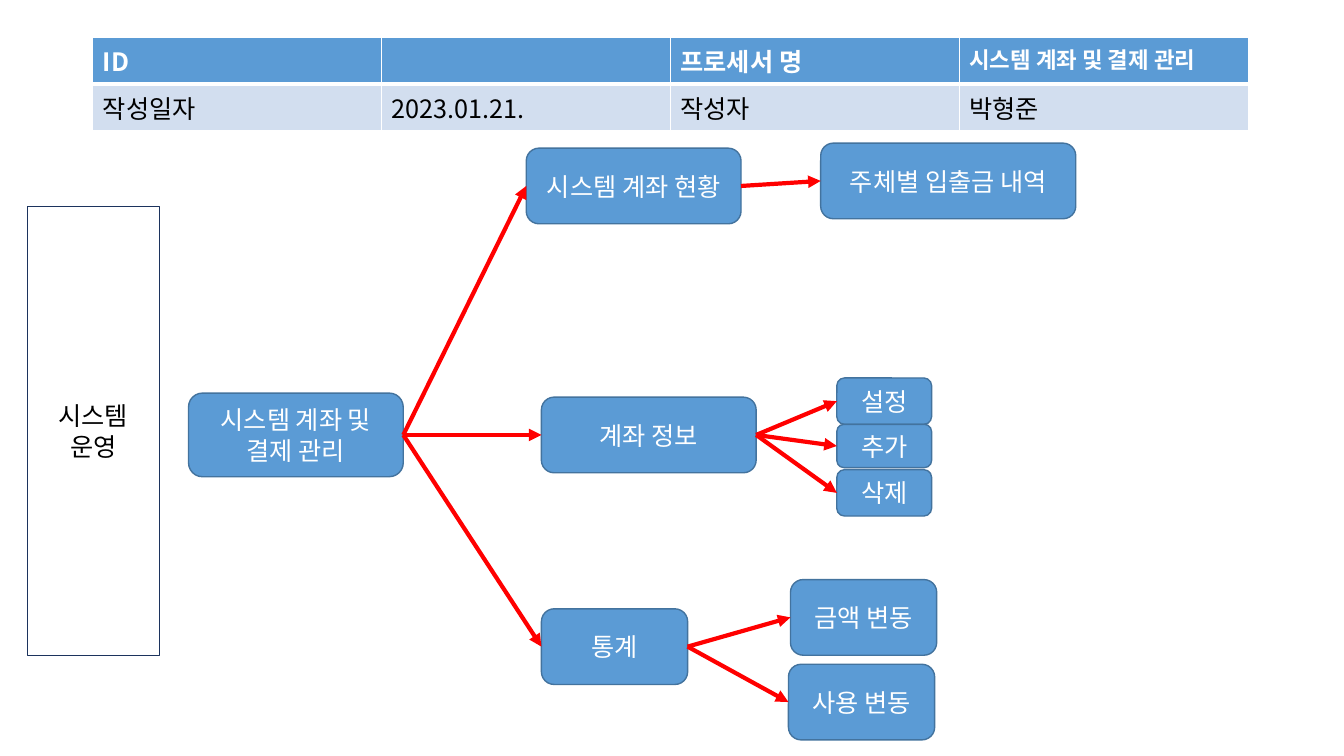
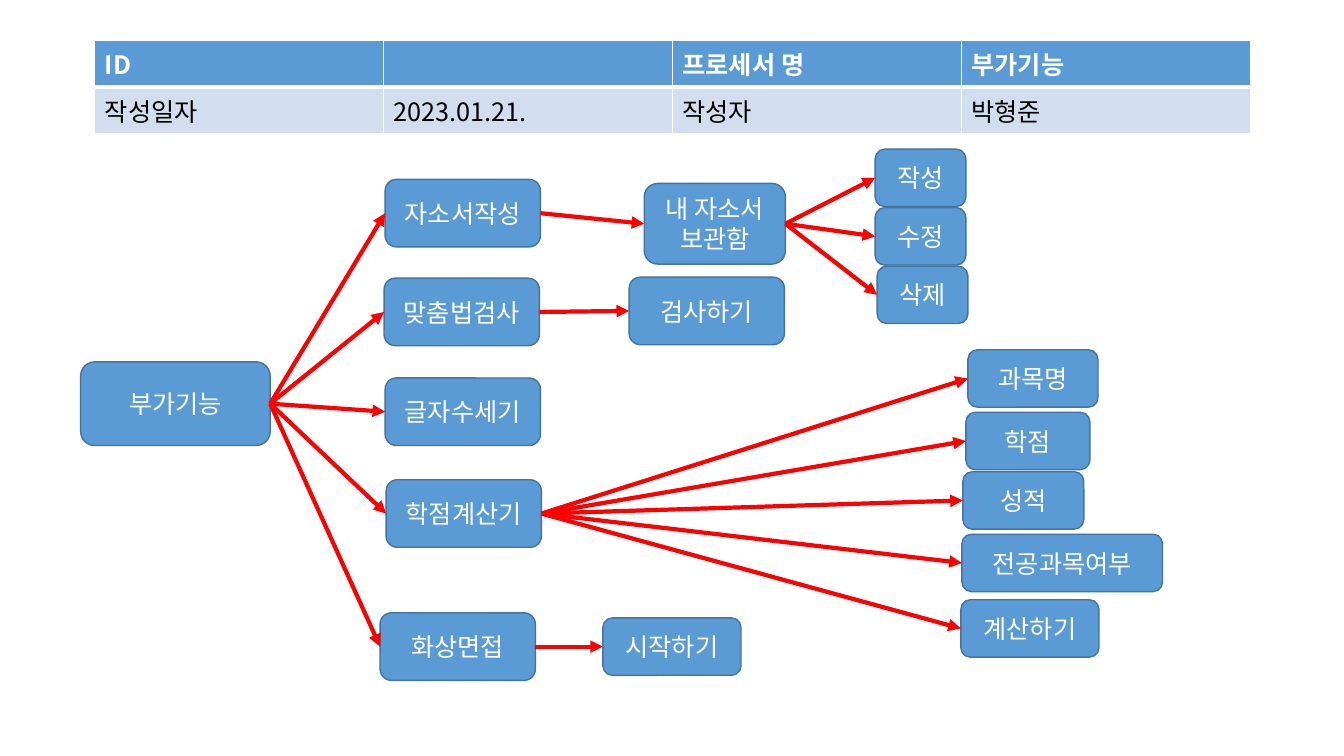
from dataclasses import dataclass

from lxml.etree import SubElement
from pptx import Presentation
from pptx.dml.color import RGBColor as RGB
from pptx.enum.shapes import MSO_CONNECTOR as CONN, MSO_SHAPE as SHAPE
from pptx.enum.text import MSO_ANCHOR as ANCHOR, PP_ALIGN as ALIGN
from pptx.oxml.ns import qn
from pptx.util import Emu, Pt

PX = 9144  # EMU per px, 100 px to the inch
LEFT, RIGHT = 1, 3  # connection sites of a rounded rectangle


@dataclass(frozen=True)
class Theme:
    font: str = "Noto Sans CJK KR"
    body: int = 18
    small: int = 16
    white: str = "FFFFFF"
    black: str = "000000"
    blue: str = "5B9BD5"
    box_line: str = "43739E"
    pale: str = "D2DEEF"
    navy: str = "1C335D"
    red: str = "FF0000"


@dataclass
class Node:
    text: str
    x: int
    y: int
    w: int
    h: int
    children: tuple = ()


def px(*lengths):
    return [Emu(n * PX) for n in lengths]


class Deck:
    """Holds the presentation, its theme and the slide being drawn."""

    def __init__(self, theme):
        self.theme = theme
        self.prs = Presentation()
        self.prs.slide_width, self.prs.slide_height = px(1333, 750)

    def new_slide(self):
        self.s = self.prs.slides.add_slide(self.prs.slide_layouts[6])

    def label(self, tf, text, color, size=None, bold=False):
        tf.text = text
        for r in tf.paragraphs[0].runs:
            font = r.font
            font.name, font.size, font.bold = self.theme.font, Pt(size or self.theme.body), bold
            font.color.rgb = RGB.from_string(color)
            SubElement(r._r.get_or_add_rPr(), qn("a:ea"), typeface=self.theme.font)

    def box(self, text, x, y, w, h, kind, fill, line, line_width, color):
        sp = self.s.shapes.add_shape(kind, *px(x, y, w, h))
        sp.shadow.inherit = False
        sp.fill.solid()
        sp.fill.fore_color.rgb = RGB.from_string(fill)
        sp.line.color.rgb = RGB.from_string(line)
        sp.line.width = Pt(line_width)
        tf = sp.text_frame
        tf.word_wrap, tf.vertical_anchor = True, ANCHOR.MIDDLE
        self.label(tf, text, color)
        tf.paragraphs[0].alignment = ALIGN.CENTER
        return sp

    def actor(self, text, x, y, w, h):
        t = self.theme
        self.box(text, x, y, w, h, SHAPE.RECTANGLE, t.white, t.navy, 0, t.black)

    def arrow(self, start, end):
        """Joins the right side of one box to the left side of another."""
        c = self.s.shapes.add_connector(CONN.STRAIGHT, 0, 0, 0, 0)
        c.begin_connect(start, RIGHT)
        c.end_connect(end, LEFT)
        c.line.color.rgb = RGB.from_string(self.theme.red)
        c.line.width = Pt(3)
        SubElement(c.line._get_or_add_ln(), qn("a:tailEnd"), type="triangle")
        SubElement(c._element.spPr, qn("a:effectLst"))

    def tree(self, node):
        """Draws a node, its descendants and the arrows between them."""
        t = self.theme
        sp = self.box(node.text, node.x, node.y, node.w, node.h,
                      SHAPE.ROUNDED_RECTANGLE, t.blue, t.box_line, 1, t.white)
        for child in node.children:
            self.arrow(sp, self.tree(child))
        return sp

    def borders(self, cell, bottom):
        tc_pr = cell._tc.get_or_add_tcPr()
        for side, width in (("L", 1), ("R", 1), ("T", 1), ("B", bottom)):
            ln = SubElement(tc_pr, qn(f"a:ln{side}"), w=str(Pt(width)))
            fill = SubElement(ln, qn("a:solidFill"))
            SubElement(fill, qn("a:srgbClr"), val=self.theme.white)

    def header(self, x, y, process, process_size=None):
        t = self.theme
        rows = (("ID", "", "프로세서 명", process),
                ("작성일자", "2023.01.21.", "작성자", "박형준"))
        looks = ((43, t.blue, t.white, True, 3), (41, t.pale, t.black, False, 1))
        table = self.s.shapes.add_table(2, 4, *px(x, y, 1146, 84)).table
        table.horz_banding = False
        for r, (texts, (height, fill, color, bold, bottom)) in enumerate(zip(rows, looks)):
            table.rows[r].height = px(height)[0]
            for c, text in enumerate(texts):
                cell = table.cell(r, c)
                self.borders(cell, bottom)
                cell.fill.solid()
                cell.fill.fore_color.rgb = RGB.from_string(fill)
                size = process_size if text == process else None
                self.label(cell.text_frame, text, color, size, bold)


def account_slide(deck):
    deck.new_slide()
    deck.header(92, 37, "시스템 계좌 및 결제 관리", deck.theme.small)
    deck.actor("시스템\v운영", 27, 205, 131, 445)
    deck.tree(Node("시스템 계좌 및 결제 관리", 187, 390, 213, 83, (
        Node("시스템 계좌 현황", 522, 147, 213, 75, (
            Node("주체별 입출금 내역", 814, 142, 253, 75),)),
        Node("계좌 정보", 537, 394, 213, 75, (
            Node("설정", 830, 375, 94, 46),
            Node("추가", 830, 421, 94, 43),
            Node("삭제", 830, 466, 94, 46))),
        Node("통계", 537, 604, 145, 75, (
            Node("금액 변동", 784, 575, 145, 75),
            Node("사용 변동", 782, 659, 145, 75))))))


def extras_slide(deck):
    def feature(text, x, y, *children):
        return Node(text, x, y, 154, 67, children)

    def action(text, x, y, w=90):
        return Node(text, x, y, w, 57)

    deck.new_slide()
    deck.header(94, 40, "부가기능")
    deck.tree(Node("부가기능", 80, 359, 188, 83, (
        feature("자소서작성", 382, 178,
                Node("내 자소서 보관함", 639, 182, 140, 80, (
                    action("작성", 868, 148),
                    action("수정", 868, 206),
                    action("삭제", 870, 264)))),
        feature("맞춤법검사", 381, 276, feature("검사하기", 624, 275)),
        feature("글자수세기", 382, 375),
        feature("학점계산기", 383, 476,
                action("과목명", 960, 347, 129),
                action("학점", 958, 409, 123),
                action("성적", 955, 468, 120),
                action("전공과목여부", 954, 530, 199),
                action("계산하기", 953, 595, 137)),
        feature("화상면접", 377, 608, action("시작하기", 598, 613, 137)))))


def main():
    deck = Deck(Theme())
    account_slide(deck)
    extras_slide(deck)
    deck.prs.save("out.pptx")


if __name__ == "__main__":
    main()
